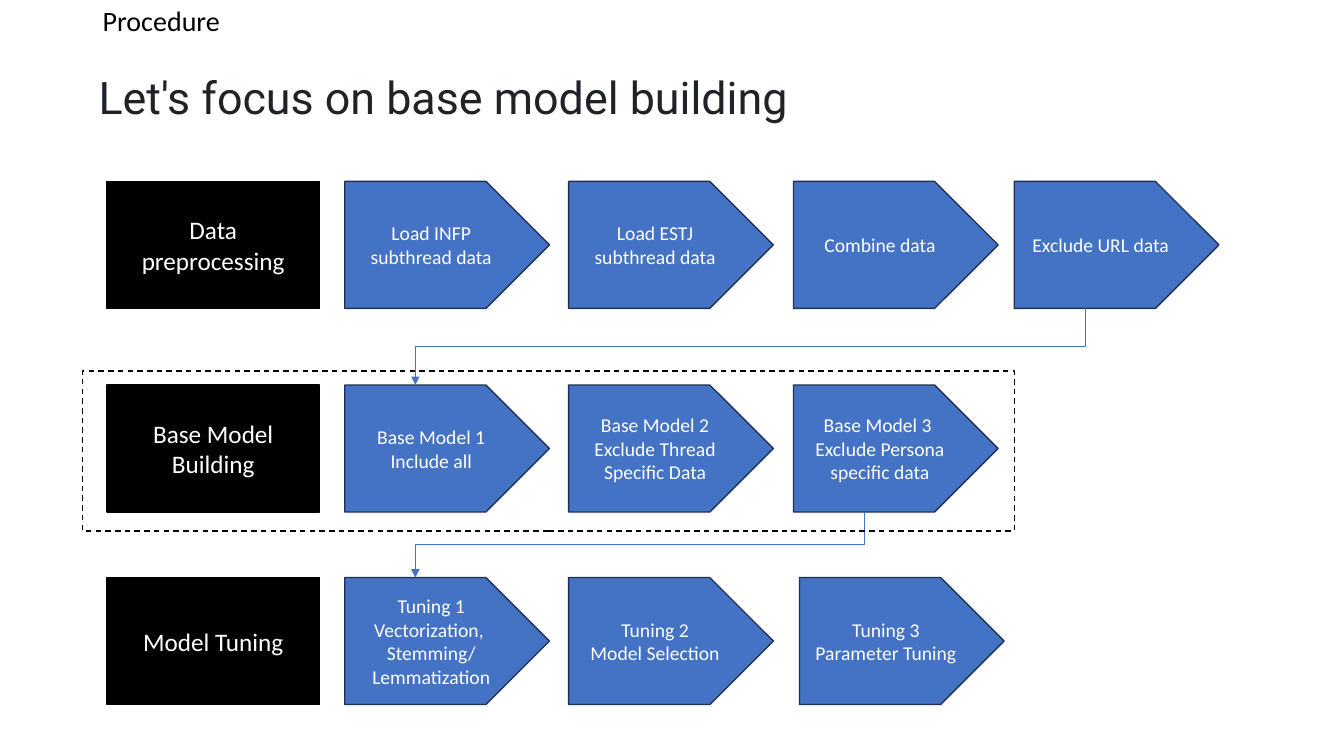
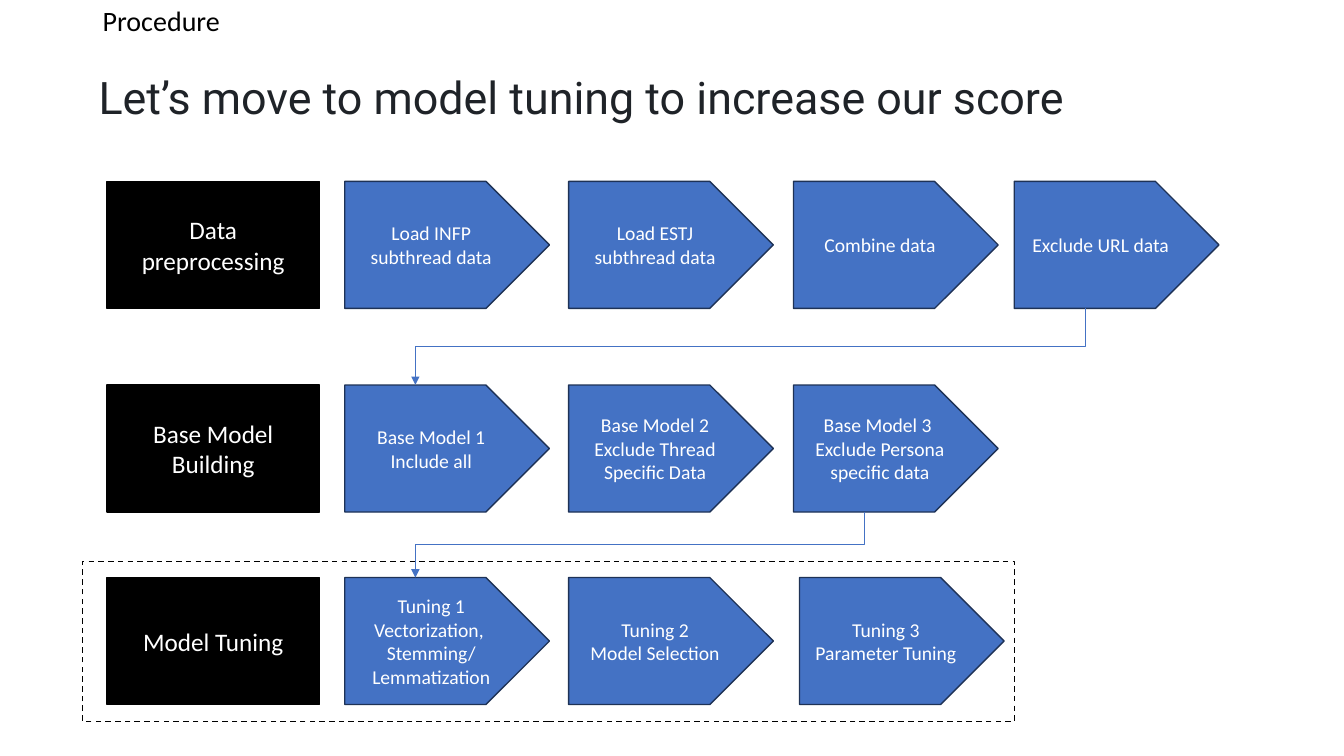
import lxml.etree
import pptx
import pptx.dml.color
import pptx.enum.dml
import pptx.enum.shapes
import pptx.enum.text
import pptx.oxml.ns
import pptx.util

Inches = pptx.util.Inches
Pt = pptx.util.Pt
SHAPES = pptx.enum.shapes.MSO_SHAPE
ALIGN = pptx.enum.text.PP_ALIGN
qn = pptx.oxml.ns.qn

BLACK, WHITE, INK = "000000", "FFFFFF", "1F2328"
BLUE, NAVY = "4472C4", "1E3256"

LABEL_LEFT, LABEL_WIDTH = 1.06, 2.11
STEP_WIDTH, ROW_HEIGHT = 2.03, 1.26
STEP_LEFTS = [3.42, 5.64, 7.87, 10.06]
# The flat part of a step ends half a row height before its tip.
FLAT_CENTRE = (STEP_WIDTH - ROW_HEIGHT / 2) / 2
FRAME_LEFT, FRAME_WIDTH, FRAME_HEIGHT = 0.82, 9.24, 1.59

KICKER = {"size": 20, "font": "Calibri", "color": BLACK, "align": ALIGN.LEFT, "spacing": 0.9}
HEADLINE = {"size": 32, "font": "Roboto", "color": INK, "align": ALIGN.LEFT, "spacing": 1.1}
LABEL = {"size": 18, "font": "Calibri", "color": WHITE, "align": ALIGN.CENTER, "spacing": 1.0}
STEP = {**LABEL, "size": 14}

# Row top, label, steps with their left edges
ROWS = [
    (1.8, "Data preprocessing", STEP_LEFTS,
     ["Load INFP subthread data", "Load ESTJ subthread data", "Combine data", "Exclude URL data"]),
    (3.82, "Base Model Building", STEP_LEFTS[:3],
     ["Base Model 1\nInclude all",
      "Base Model 2\nExclude Thread Specific Data",
      "Base Model 3 \nExclude Persona specific data"]),
    (5.73, "Model Tuning", STEP_LEFTS[:2] + [7.93],
     ["Tuning 1\nVectorization, \nStemming/\nLemmatization",
      "Tuning 2\nModel Selection",
      "Tuning 3\nParameter Tuning"]),
]

# Headline and top of the dashed frame
SLIDES = [
    ("Let's focus on base model building", 3.68),
    ("Let’s move to model tuning to increase our score", 5.57),
]


def rgb(color):
    return pptx.dml.color.RGBColor.from_string(color)


def write_text(box, text, style):
    """Fill a shape or text box with one paragraph per line of text."""
    frame = box.text_frame
    frame.word_wrap = True
    frame.vertical_anchor = pptx.enum.text.MSO_ANCHOR.MIDDLE
    for index, line in enumerate(text.split("\n")):
        para = frame.add_paragraph() if index else frame.paragraphs[0]
        para.alignment = style["align"]
        para.line_spacing = style["spacing"]
        span = para.add_run()
        span.text = line
        span.font.color.rgb = rgb(style["color"])
        for name, value in {"size": Pt(style["size"]), "name": style["font"]}.items():
            setattr(span.font, name, value)


deck = pptx.Presentation()
deck.slide_width = Inches(13.33)
deck.slide_height = Inches(7.5)

for headline, frame_top in SLIDES:
    page = deck.slides.add_slide(deck.slide_layouts[6])

    for text, style, left, top, width, height in [
        ("Procedure", KICKER, 0.92, 0, 11.5, 0.45),
        (headline, HEADLINE, 0.88, 0.4, 11.53, 1.06),
    ]:
        box = page.shapes.add_textbox(Inches(left), Inches(top), Inches(width), Inches(height))
        write_text(box, text, style)

    for top, label, lefts, steps in ROWS:
        cells = [(SHAPES.RECTANGLE, LABEL_LEFT, LABEL_WIDTH, label, LABEL, BLACK, BLACK)]
        for left, step in zip(lefts, steps):
            cells.append((SHAPES.PENTAGON, left, STEP_WIDTH, step, STEP, BLUE, NAVY))
        for kind, left, width, text, style, fill, outline in cells:
            box = page.shapes.add_shape(
                kind, Inches(left), Inches(top), Inches(width), Inches(ROW_HEIGHT))
            box.shadow.inherit = False
            box.fill.solid()
            box.fill.fore_color.rgb = rgb(fill)
            box.line.color.rgb = rgb(outline)
            box.line.width = Pt(1)
            write_text(box, text, style)

    # Each row's last step leads to the first step of the next row.
    for row, next_row in zip(ROWS, ROWS[1:]):
        start_x, start_y = row[2][-1] + FLAT_CENTRE, row[0] + ROW_HEIGHT
        end_x, end_y = next_row[2][0] + FLAT_CENTRE, next_row[0]
        centre_x, centre_y = (start_x + end_x) / 2, (start_y + end_y) / 2
        half_drop, half_run = (end_y - start_y) / 2, (start_x - end_x) / 2
        # A quarter turn makes the elbow leave and arrive vertically.
        arrow = page.shapes.add_connector(
            pptx.enum.shapes.MSO_CONNECTOR.ELBOW,
            Inches(centre_x - half_drop), Inches(centre_y - half_run),
            Inches(centre_x + half_drop), Inches(centre_y + half_run))
        arrow.line.color.rgb = rgb(BLUE)
        arrow.line.width = Pt(0.5)
        properties = arrow.element.spPr
        properties.find(qn("a:xfrm")).set("rot", str(90 * 60000))
        lxml.etree.SubElement(properties.find(qn("a:ln")), qn("a:tailEnd"), type="triangle")
        lxml.etree.SubElement(properties, qn("a:effectLst"))

    frame = page.shapes.add_shape(
        SHAPES.RECTANGLE, Inches(FRAME_LEFT), Inches(frame_top),
        Inches(FRAME_WIDTH), Inches(FRAME_HEIGHT))
    frame.shadow.inherit = False
    frame.fill.background()
    frame.line.color.rgb = rgb(BLACK)
    frame.line.width = Pt(1)
    frame.line.dash_style = pptx.enum.dml.MSO_LINE.DASH

deck.save("out.pptx")
